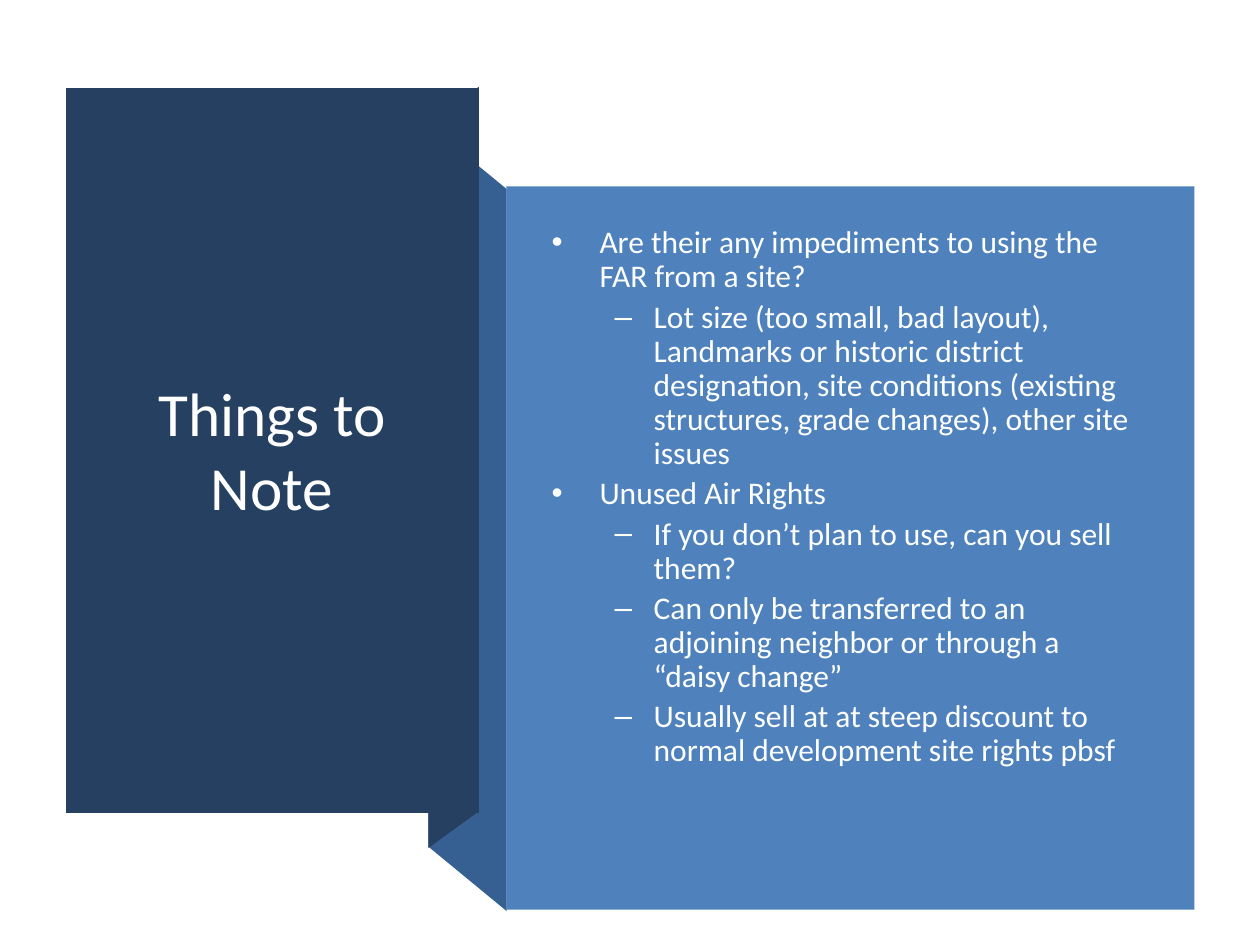
from lxml.etree import SubElement
from pptx import Presentation
from pptx.dml.color import RGBColor
from pptx.enum.shapes import MSO_SHAPE
from pptx.enum.text import MSO_ANCHOR, PP_ALIGN
from pptx.oxml.ns import qn
from pptx.util import Inches, Pt

COLORS = {"navy": "254061", "fold": "376092", "panel": "4F81BD",
          "title": "FFFFFF", "body": "FEFFFF"}
FONT = "Calibri"
LEVELS = [("•", 0.38, -0.38), ("–", 0.81, -0.31)]
NOTES = [
    (0, "Are their any impediments to using the FAR from a site?"),
    (1, "Lot size (too small, bad layout), Landmarks or historic district "
        "designation, site conditions (existing structures, grade changes), "
        "other site issues"),
    (0, "Unused Air Rights"),
    (1, "If you don’t plan to use, can you sell them?"),
    (1, "Can only be transferred to an adjoining neighbor or through a "
        "“daisy change”"),
    (1, "Usually sell at at steep discount to normal development site rights pbsf"),
]


def rgb(name):
    return RGBColor.from_string(COLORS[name])


def paint(sp, color):
    sp.shadow.inherit = False
    sp.fill.solid()
    sp.fill.fore_color.rgb = rgb(color)
    sp.line.fill.background()


def add_polygon(s, points, color):
    corners = [(Inches(x), Inches(y)) for x, y in points]
    builder = s.shapes.build_freeform(*corners[0])
    builder.add_line_segments(corners[1:], close=True)
    sp = builder.convert_to_shape()
    paint(sp, color)
    return sp


def add_panel(s, box, color):
    sp = s.shapes.add_shape(MSO_SHAPE.RECTANGLE, *map(Inches, box))
    paint(sp, color)


def style_font(font, size, color):
    font.name = FONT
    font.size = Pt(size)
    font.color.rgb = rgb(color)


def set_title(s, text, box, behind):
    sp = s.shapes.title
    sp.left, sp.top, sp.width, sp.height = map(Inches, box)
    behind.element.addnext(sp.element)
    tf = sp.text_frame
    tf.text = text
    tf.word_wrap = True
    tf.vertical_anchor = MSO_ANCHOR.MIDDLE
    p = tf.paragraphs[0]
    p.alignment = PP_ALIGN.CENTER
    style_font(p.runs[0].font, 35, "title")


def set_bullet(p, level):
    char, margin, indent = LEVELS[level]
    p.level = level
    pPr = p._p.get_or_add_pPr()
    pPr.set("marL", str(Inches(margin)))
    pPr.set("indent", str(Inches(indent)))
    SubElement(pPr, qn("a:buFont")).set("typeface", "Arial")
    SubElement(pPr, qn("a:buChar")).set("char", char)


def add_notes(s, notes, box):
    tf = s.shapes.add_textbox(*map(Inches, box)).text_frame
    tf.word_wrap = True
    tf.vertical_anchor = MSO_ANCHOR.MIDDLE
    tf.margin_bottom = Inches(0.65)
    for i, (level, text) in enumerate(notes):
        p = tf.add_paragraph() if i else tf.paragraphs[0]
        p.text = text
        set_bullet(p, level)
        p.line_spacing = 0.9
        if i:
            p.space_before = Pt(3.6)
        style_font(p.runs[0].font, 18, "body")


def main():
    prs = Presentation()
    prs.slide_width, prs.slide_height = Inches(10), Inches(7.5)
    s = prs.slides.add_slide(prs.slide_layouts[5])
    add_polygon(s, [(4.02, 7.23), (3.4, 6.72), (3.4, 0.99), (4.02, 1.5)], "fold")
    add_polygon(s, [(3.8, 6.44), (3.4, 6.73), (3.4, 0.98), (3.8, 0.69)], "navy")
    front = add_polygon(s, [(0.52, 0.7), (3.8, 0.7), (3.8, 6.45), (0.52, 6.45)], "navy")
    set_title(s, "Things to Note", (0.77, 1.07, 2.78, 4.99), front)
    add_panel(s, (4.02, 1.48, 5.46, 5.74), "panel")
    add_notes(s, NOTES, (4.28, 1.88, 4.88, 4.74))
    prs.save("out.pptx")


if __name__ == "__main__":
    main()
